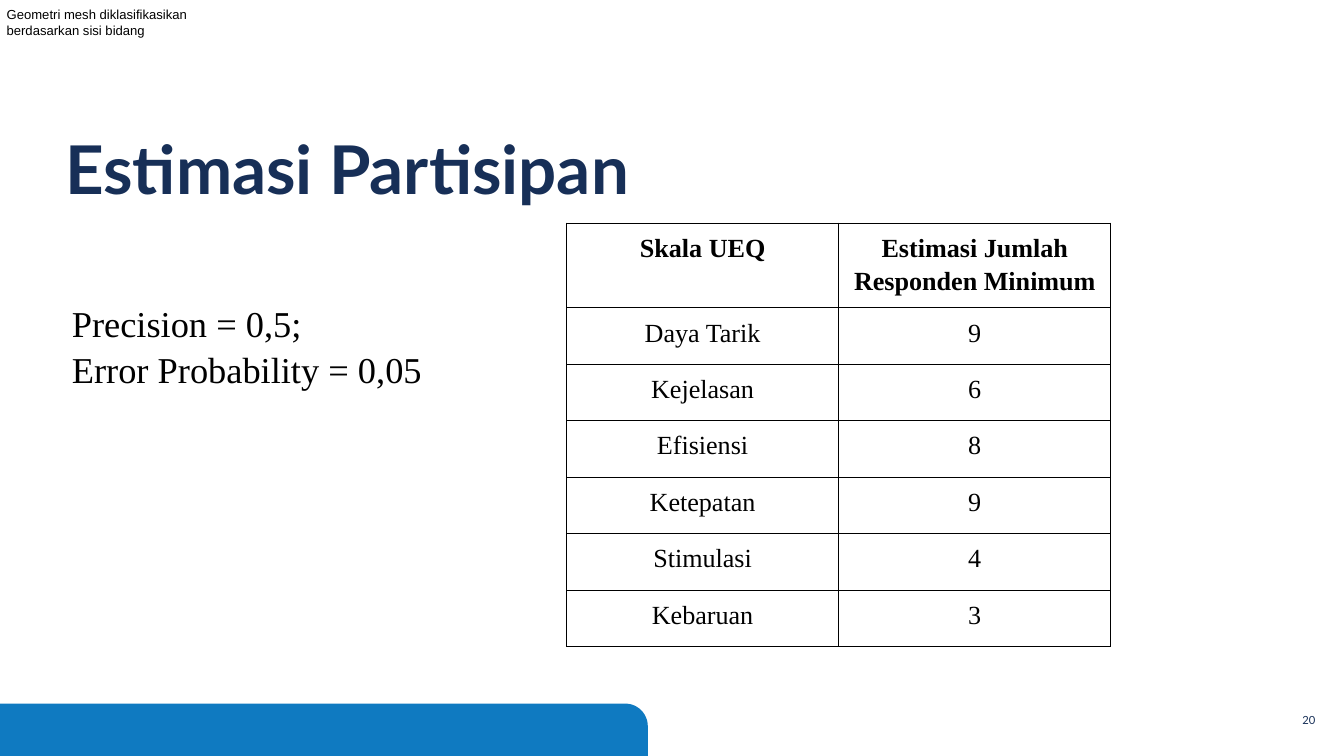
from dataclasses import dataclass

from lxml.etree import SubElement
from pptx import Presentation
from pptx.dml.color import RGBColor
from pptx.enum.shapes import MSO_SHAPE
from pptx.enum.text import MSO_ANCHOR, MSO_AUTO_SIZE, PP_ALIGN
from pptx.oxml.ns import qn
from pptx.util import Inches, Pt


@dataclass(frozen=True)
class Theme:
    navy: str = "172F57"
    blue: str = "0F7AC1"
    black: str = "000000"
    heading_font: str = "Lato"
    body_font: str = "Times New Roman"
    note_font: str = "Arial"
    title_size: int = 72
    body_size: int = 39
    table_size: int = 28
    note_size: int = 14
    number_size: int = 12


THEME = Theme()
ROWS = [
    ("Skala UEQ", "Estimasi Jumlah Responden Minimum"),
    ("Daya Tarik", "9"),
    ("Kejelasan", "6"),
    ("Efisiensi", "8"),
    ("Ketepatan", "9"),
    ("Stimulasi", "4"),
    ("Kebaruan", "3"),
]


def format_paragraph(paragraph, font, size, color, bold=False, spacing=1.0,
                     alignment=PP_ALIGN.LEFT):
    for name, value in {"alignment": alignment, "line_spacing": spacing}.items():
        setattr(paragraph, name, value)
    for name, value in {"name": font, "size": Pt(size), "bold": bold}.items():
        setattr(paragraph.font, name, value)
    paragraph.font.color.rgb = RGBColor.from_string(color)


def fill_frame(frame, lines, margins, **text_format):
    left, top, right, bottom = (Inches(margin) for margin in margins)
    settings = {
        "word_wrap": True,
        "auto_size": MSO_AUTO_SIZE.NONE,
        "vertical_anchor": MSO_ANCHOR.TOP,
        "margin_left": left,
        "margin_top": top,
        "margin_right": right,
        "margin_bottom": bottom,
    }
    for name, value in settings.items():
        setattr(frame, name, value)
    for index, line in enumerate(lines):
        paragraph = frame.add_paragraph() if index else frame.paragraphs[0]
        paragraph.text = line
        format_paragraph(paragraph, **text_format)


def add_title(slide, text, box):
    title = slide.shapes.title
    for name, value in zip(("left", "top", "width", "height"), box):
        setattr(title, name, Inches(value))
    fill_frame(title.text_frame, [text], (0, 0.41, 0, 0), font=THEME.heading_font,
               size=THEME.title_size, color=THEME.navy, bold=True)


def add_text(slide, lines, box, margin=0.1, **text_format):
    shape = slide.shapes.add_textbox(*(Inches(value) for value in box))
    fill_frame(shape.text_frame, lines, [margin] * 4, **text_format)


def add_footer_band(slide):
    band = slide.shapes.add_shape(MSO_SHAPE.ROUND_1_RECTANGLE, Inches(0),
                                  Inches(10.47), Inches(9.64), Inches(0.78))
    band.adjustments[0] = 0.43
    band.shadow.inherit = False
    band.fill.solid()
    band.fill.fore_color.rgb = RGBColor.from_string(THEME.blue)
    band.line.fill.background()


def add_borders(cell):
    properties = cell._tc.get_or_add_tcPr()
    for index, side in enumerate(("lnL", "lnR", "lnT", "lnB")):
        line = properties.makeelement(qn(f"a:{side}"), {"w": str(Pt(1))})
        fill = SubElement(line, qn("a:solidFill"))
        SubElement(fill, qn("a:srgbClr"), val=THEME.black)
        properties.insert(index, line)


def add_estimate_table(slide):
    column_width, header_height, row_height = 4.05, 1.26, 0.84
    height = header_height + row_height * (len(ROWS) - 1)
    table = slide.shapes.add_table(len(ROWS), 2, Inches(8.43), Inches(3.32),
                                   Inches(2 * column_width), Inches(height)).table
    table.horz_banding = False
    for column in table.columns:
        column.width = Inches(column_width)
    for row_index, values in enumerate(ROWS):
        is_header = row_index == 0
        table.rows[row_index].height = Inches(header_height if is_header else row_height)
        for column_index, value in enumerate(values):
            cell = table.cell(row_index, column_index)
            cell.text = value
            margins = {"margin_left": 0.07, "margin_right": 0.07,
                       "margin_top": 0.1, "margin_bottom": 0.1}
            for name, margin in margins.items():
                setattr(cell, name, Inches(margin))
            format_paragraph(cell.text_frame.paragraphs[0], THEME.body_font,
                             THEME.table_size, THEME.black, is_header, 1.15,
                             PP_ALIGN.CENTER)
            cell.fill.background()
            add_borders(cell)


def main():
    presentation = Presentation()
    presentation.slide_width = Inches(20)
    presentation.slide_height = Inches(11.25)
    slide = presentation.slides.add_slide(presentation.slide_layouts[5])

    # Footer band and title
    add_footer_band(slide)
    add_title(slide, "Estimasi Partisipan", (0.97, 1.49, 14.75, 1.62))

    # Slide number and corner note
    add_text(slide, ["20"], (19.38, 10.62, 0.26, 0.21), margin=0,
             font=THEME.heading_font, size=THEME.number_size, color=THEME.navy)
    add_text(slide, ["Geometri mesh diklasifikasikan berdasarkan sisi bidang"],
             (0, 0, 3.28, 0.67), font=THEME.note_font, size=THEME.note_size,
             color=THEME.black)

    # Estimates and their parameters
    add_estimate_table(slide)
    add_text(slide, ["Precision = 0,5;", "Error Probability = 0,05"],
             (0.97, 4.35, 5.71, 1.52), font=THEME.body_font, size=THEME.body_size,
             color=THEME.black, spacing=1.05)

    presentation.save("out.pptx")


if __name__ == "__main__":
    main()
